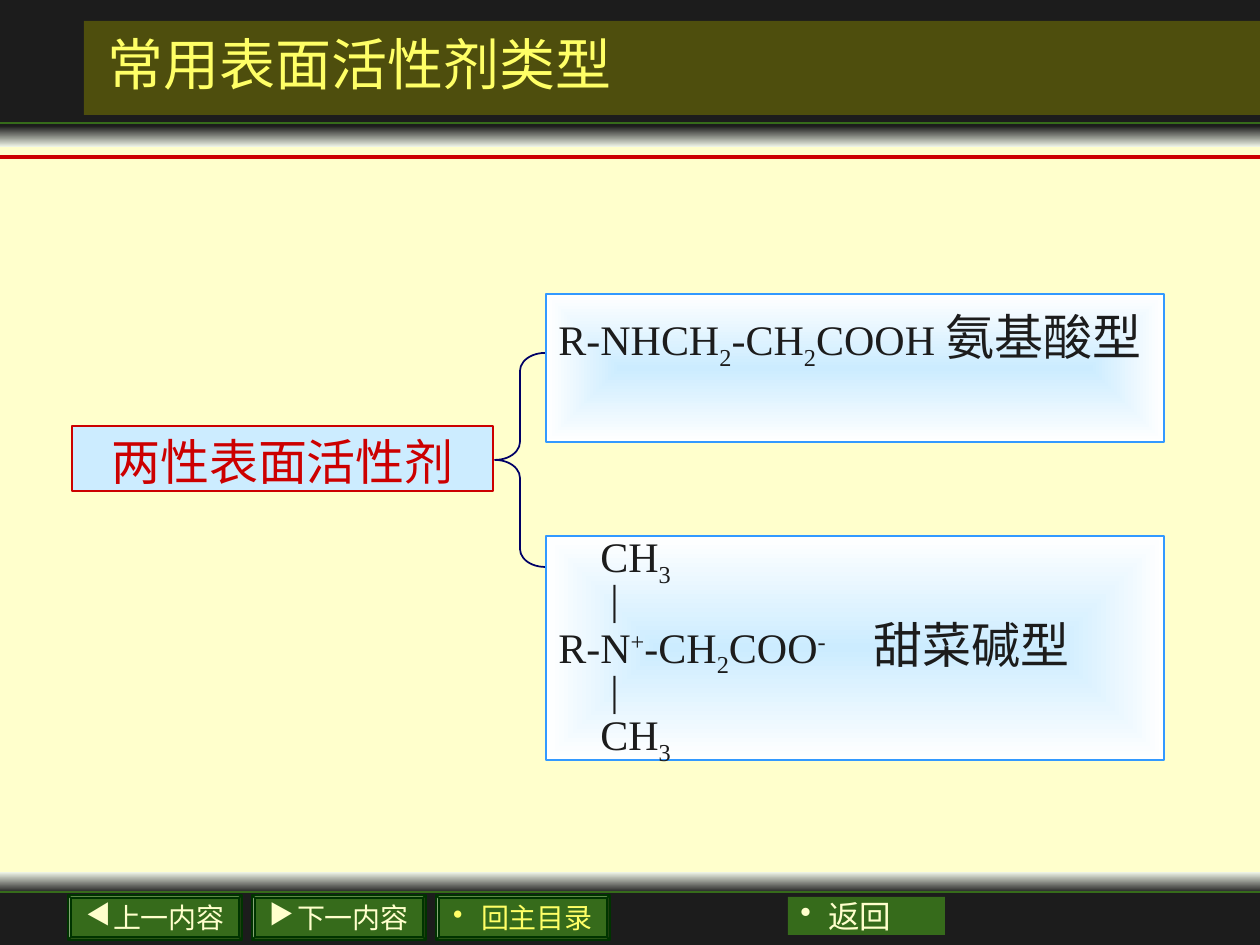
from lxml.etree import SubElement
from pptx import Presentation
from pptx.dml.color import RGBColor
from pptx.enum.shapes import MSO_CONNECTOR, MSO_SHAPE
from pptx.enum.text import MSO_ANCHOR, PP_ALIGN
from pptx.oxml.ns import qn
from pptx.util import Pt

PX = 914400 / 126  # EMU in one px
CJK, SERIF = "Noto Sans CJK SC", "Times New Roman"
INK, CREAM, YELLOW, RED = "1C1C1C", "FFFFCC", "FFFF66", "CC0000"
GREEN, MIST, SKY = "366B1B", "F1F7E9", "CCECFF"
rgb = RGBColor.from_string

prs = Presentation()
prs.slide_width, prs.slide_height = round(1260 * PX), round(945 * PX)
s = prs.slides.add_slide(prs.slide_layouts[6])
s.background.fill.solid()
s.background.fill.fore_color.rgb = rgb(CREAM)


def box(at, fill=None, line=None, kind=MSO_SHAPE.RECTANGLE):
    """Add a shape; a pair of colours as fill makes a downward gradient."""
    sp = s.shapes.add_shape(kind, *[round(v * PX) for v in at])
    sp.shadow.inherit = False
    if fill is None:
        sp.fill.background()
    elif isinstance(fill, tuple):
        sp.fill.gradient()
        sp.fill.gradient_angle = 270
        for stop, color in zip(sp.fill.gradient_stops, fill):
            stop.color.rgb = rgb(color)
    else:
        sp.fill.solid()
        sp.fill.fore_color.rgb = rgb(fill)
    if line:
        sp.line.color.rgb = rgb(line)
        sp.line.width = Pt(1)
    else:
        sp.line.fill.background()
    return sp


def write(sp, paras, color, anchor=MSO_ANCHOR.TOP, align=PP_ALIGN.LEFT,
          spacing=1.0, bullet=None):
    """Fill a shape with paragraphs of (left indent px, runs)."""
    tf = sp.text_frame
    frame = dict(word_wrap=True, vertical_anchor=anchor, margin_top=0, margin_bottom=0)
    for key, value in frame.items():
        setattr(tf, key, value)
    for i, (indent, runs) in enumerate(paras):
        p = tf.add_paragraph() if i else tf.paragraphs[0]
        p.alignment, p.line_spacing = align, spacing
        pPr = p._p.get_or_add_pPr()
        pPr.set("marL", str(round(indent * PX)))
        pPr.set("indent", str(round(-indent * PX) if bullet else 0))
        if bullet:
            clr = SubElement(pPr, qn("a:buClr"))
            SubElement(clr, qn("a:srgbClr"), val=color)
            SubElement(pPr, qn("a:buChar"), char=bullet)
        if any("\t" in run[0] for run in runs):
            tabs = SubElement(pPr, qn("a:tabLst"))
            SubElement(tabs, qn("a:tab"), pos=str(round(378 * PX)), algn="l")
        for text, size, font, base in runs:
            r = p.add_run()
            r.text = text
            for key, value in dict(size=Pt(size), name=font).items():
                setattr(r.font, key, value)
            r.font.color.rgb = rgb(color)
            rPr = r._r.get_or_add_rPr()
            SubElement(rPr, qn("a:ea"), typeface=CJK)
            if base:
                rPr.set("baseline", str(base * 1000))


# Header and footer bands
box((0, 872, 1260, 21), (MIST, INK))
box((0, 892, 1260, 53), INK)
box((0, 126, 1260, 21), (INK, MIST))
box((0, 0, 1260, 126), INK)
band = box((84, 21, 1176, 94), "808000")
SubElement(band._element.spPr.find(".//" + qn("a:srgbClr")), qn("a:alpha"), val="50000")

# Rules
for y, color, width in [(892, GREEN, 1.5), (157, RED, 2.25), (123, GREEN, 1.5)]:
    cx = s.shapes.add_connector(MSO_CONNECTOR.STRAIGHT, 0, round(y * PX),
                                prs.slide_width, round(y * PX))
    cx.line.color.rgb = rgb(color)
    cx.line.width = Pt(width)
    SubElement(cx._element.spPr, qn("a:effectLst"))

# Navigation buttons
buttons = [("◀", "上一内容", CREAM), ("▶", "下一内容", CREAM), ("•", "回主目录", YELLOW)]
for i, (mark, label, color) in enumerate(buttons):
    sp = box((68 + 184 * i, 895, 174, 45), GREEN, "003300", MSO_SHAPE.BEVEL)
    sp.adjustments[0] = 0.07
    write(sp, [(28, [(label, 16, SERIF, 0)])], color, MSO_ANCHOR.MIDDLE,
          PP_ALIGN.CENTER, bullet=mark)
sp = box((788, 897, 157, 38), GREEN)
write(sp, [(28, [("返回", 18, "Arial", 0)])], CREAM, bullet="•")

# Title
title = s.shapes.add_textbox(*[round(v * PX) for v in (95, 21, 1166, 84)])
write(title, [(0, [("常用表面活性剂类型", 32, SERIF, 0)])], YELLOW, MSO_ANCHOR.MIDDLE)

# Class name and brace
sp = box((72, 426, 421, 65), SKY, RED)
write(sp, [(0, [("两性表面活性剂", 28, CJK, 0)])], RED, align=PP_ALIGN.CENTER, spacing=1.1)
brace = box((495, 353, 50, 214), None, "000066", MSO_SHAPE.LEFT_BRACE)
brace.adjustments[0] = 0.36

# Formula boxes
methyl = (42, [("CH", 24, SERIF, 0), ("3", 24, SERIF, -25)])
bond = (52, [("|", 24, SERIF, 0)])
amino = (0, [("R-NHCH", 24, SERIF, 0), ("2", 24, SERIF, -25), ("-CH", 24, SERIF, 0),
             ("2", 24, SERIF, -25), ("COOH ", 24, SERIF, 0), ("氨基酸型", 28, SERIF, 0)])
betaine = (0, [("R-N", 24, SERIF, 0), ("+", 24, SERIF, 30), ("-CH", 24, SERIF, 0),
               ("2", 24, SERIF, -25), ("COO", 24, SERIF, 0), ("-\t", 24, SERIF, 30),
               ("甜菜碱型", 28, CJK, 0)])
for y, h, spacing, paras in [(294, 148, 1.2, [amino]),
                             (536, 224, 0.8, [methyl, bond, betaine, bond, methyl])]:
    sp = box((546, y, 618, h), (SKY, "FFFFFF"), "3399FF")
    grad = sp._element.spPr.find(qn("a:gradFill"))
    grad.remove(grad.find(qn("a:lin")))
    focus = SubElement(grad, qn("a:path"), path="rect")
    SubElement(focus, qn("a:fillToRect"), l="50000", t="50000", r="50000", b="50000")
    write(sp, paras, INK, spacing=spacing)

prs.save("out.pptx")
